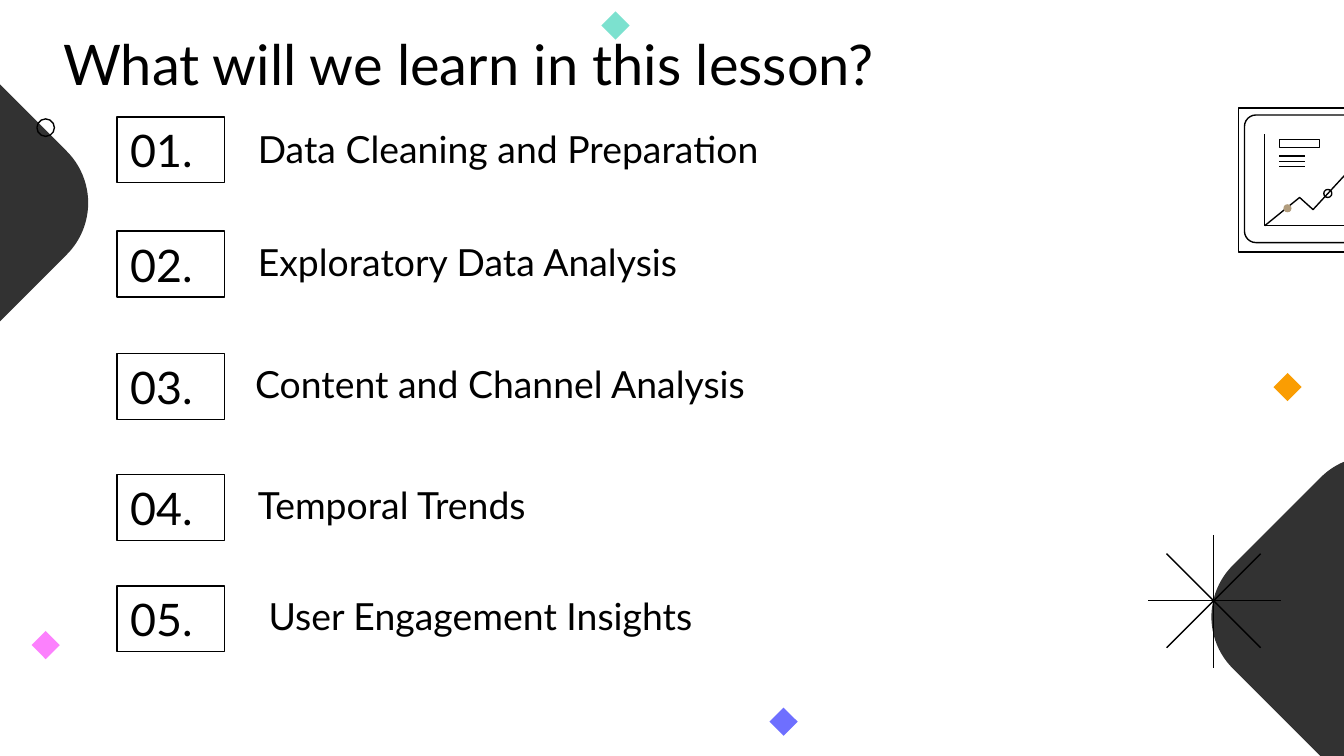
"""Build the lesson outline slide with five numbered topics."""
from typing import NamedTuple

from pptx import Presentation
from pptx.dml.color import RGBColor
from pptx.enum.shapes import MSO_CONNECTOR as Link, MSO_SHAPE as Kind
from pptx.enum.text import MSO_ANCHOR as Anchor, MSO_AUTO_SIZE as Fit, PP_ALIGN as Align
from pptx.oxml.ns import qn
from pptx.util import Inches, Pt
from lxml.etree import SubElement

BLACK = RGBColor(0x00, 0x00, 0x00)
DARK = RGBColor(0x32, 0x32, 0x32)
PINK = RGBColor(0xFC, 0x81, 0xFD)
BLUE = RGBColor(0x6E, 0x6F, 0xFF)
AMBER = RGBColor(0xFA, 0x9D, 0x02)
TEAL = RGBColor(0x7C, 0xE1, 0xCF)
TAN = RGBColor(0xB1, 0x9C, 0x7D)
THIN = Pt(0.75)


class Topic(NamedTuple):
    top: float
    text: str
    left: float = 1.82
    drop: float = 0


class Gem(NamedTuple):
    x: float
    y: float
    color: RGBColor


class Stroke(NamedTuple):
    x1: float
    y1: float
    x2: float
    y2: float


TOPICS = [
    Topic(0.87, "Data Cleaning and Preparation", drop=0.01),
    Topic(1.72, "Exploratory Data Analysis"),
    Topic(2.63, "Content and Channel Analysis", left=1.8),
    Topic(3.53, "Temporal Trends"),
    Topic(4.36, "User Engagement Insights", left=1.9),
]
GEMS = [
    Gem(0.34, 4.8, PINK),
    Gem(5.83, 5.37, BLUE),
    Gem(9.58, 2.88, AMBER),
    Gem(4.58, 0.19, TEAL),
]
STAR = [
    Stroke(9.03, 3.98, 9.03, 4.97),
    Stroke(9.53, 4.47, 8.54, 4.47),
    Stroke(9.38, 4.12, 8.68, 4.82),
    Stroke(9.38, 4.82, 8.68, 4.12),
]
NOTES = [Stroke(9.52, y, 9.71, y) for y in (1.16, 1.2, 1.24)]
AXES = [(9.41, 1), (9.41, 1.68), (10.52, 1.68)]
TREND = [(9.41, 1.68), (9.67, 1.47), (9.77, 1.56), (10.12, 1.18), (10.26, 1.37), (10.52, 1.12)]


def paint(shape, fill: RGBColor | None) -> None:
    """Fill the shape, or give it a thin outline when there is no fill."""
    shape.shadow.inherit = False
    if fill is None:
        shape.fill.background()
        shape.line.color.rgb = BLACK
        shape.line.width = THIN
    else:
        shape.fill.solid()
        shape.fill.fore_color.rgb = fill
        shape.line.fill.background()


def place(slide, kind: Kind, x: float, y: float, w: float, h: float,
          fill: RGBColor | None = None):
    """Add a preset shape centred on x, y."""
    shape = slide.shapes.add_shape(
        kind, Inches(x - w / 2), Inches(y - h / 2), Inches(w), Inches(h))
    paint(shape, fill)
    return shape


def draw(slide, stroke: Stroke) -> None:
    """Add a thin straight line."""
    line = slide.shapes.add_connector(Link.STRAIGHT, *map(Inches, stroke))
    line.line.color.rgb = BLACK
    line.line.width = THIN
    SubElement(line._element.spPr, qn("a:effectLst"))


def trace(slide, points: list[tuple[float, float]]) -> None:
    """Add an open outline through the points."""
    spots = [(Inches(x), Inches(y)) for x, y in points]
    pen = slide.shapes.build_freeform(*spots[0])
    pen.add_line_segments(spots[1:], close=False)
    paint(pen.convert_to_shape(), None)


def write(shape, text: str, size: float, anchor: Anchor, pitch: float = 1) -> None:
    """Set left-aligned black text in the shape."""
    frame = shape.text_frame
    frame.text = text
    frame.word_wrap = True
    frame.auto_size = Fit.NONE
    frame.vertical_anchor = anchor
    frame.margin_left = frame.margin_right = Inches(0.1)
    frame.margin_top = frame.margin_bottom = Inches(0.1)
    para = frame.paragraphs[0]
    para.alignment = Align.LEFT
    para.line_spacing = pitch
    para.space_before = Pt(0)
    font = para.runs[0].font
    font.name = "Lato"
    font.size = Pt(size)
    font.color.rgb = BLACK


def add_decor(slide) -> None:
    """Add the dark corners, the star, the gems and the ring."""
    for x, y in ((-0.54, 1.51), (10.21, 4.59)):
        block = place(slide, Kind.ROUNDED_RECTANGLE, x, y, 2.01, 2.01, DARK)
        block.adjustments[0] = 0.27
        block.rotation = 45
    for stroke in STAR:
        draw(slide, stroke)
    for gem in GEMS:
        place(slide, Kind.DIAMOND, gem.x, gem.y, 0.21, 0.21, gem.color)
    place(slide, Kind.OVAL, 0.34, 0.95, 0.13, 0.13)


def add_panel(slide) -> None:
    """Add the small chart panel at the right edge."""
    place(slide, Kind.RECTANGLE, 9.91, 1.34, 1.39, 1.07)
    inner = place(slide, Kind.ROUND_2_SAME_RECTANGLE, 9.93, 1.33, 0.95, 1.34)
    inner.adjustments[0] = 0.09
    inner.rotation = 270
    trace(slide, AXES)
    trace(slide, TREND)
    place(slide, Kind.OVAL, 9.58, 1.55, 0.06, 0.06, TAN)
    place(slide, Kind.OVAL, 9.88, 1.44, 0.06, 0.06)
    place(slide, Kind.RECTANGLE, 9.67, 1.07, 0.3, 0.06)
    for stroke in NOTES:
        draw(slide, stroke)


def add_topic(slide, rank: int, topic: Topic) -> None:
    """Add a numbered box and its topic."""
    high = 0.49
    box = place(slide, Kind.RECTANGLE, 1.27, topic.top + high / 2, 0.8, high)
    write(box, f"{rank:02}.", 24, Anchor.MIDDLE)
    label = slide.shapes.add_textbox(
        Inches(topic.left), Inches(topic.top + topic.drop), Inches(6.8), Inches(high))
    write(label, topic.text, 20, Anchor.BOTTOM, 1.15)


def main() -> None:
    """Build and save the deck."""
    deck = Presentation()
    deck.slide_width = Inches(10)
    deck.slide_height = deck.slide_width * 9 // 16
    slide = deck.slides.add_slide(deck.slide_layouts[5])
    add_decor(slide)
    title = slide.shapes.title
    title.left, title.top = Inches(0.37), Inches(0.12)
    title.width, title.height = Inches(8.43), Inches(0.63)
    write(title, "What will we learn in this lesson?", 30, Anchor.TOP)
    for rank, topic in enumerate(TOPICS, 1):
        add_topic(slide, rank, topic)
    add_panel(slide)
    deck.save("out.pptx")


if __name__ == "__main__":
    main()
